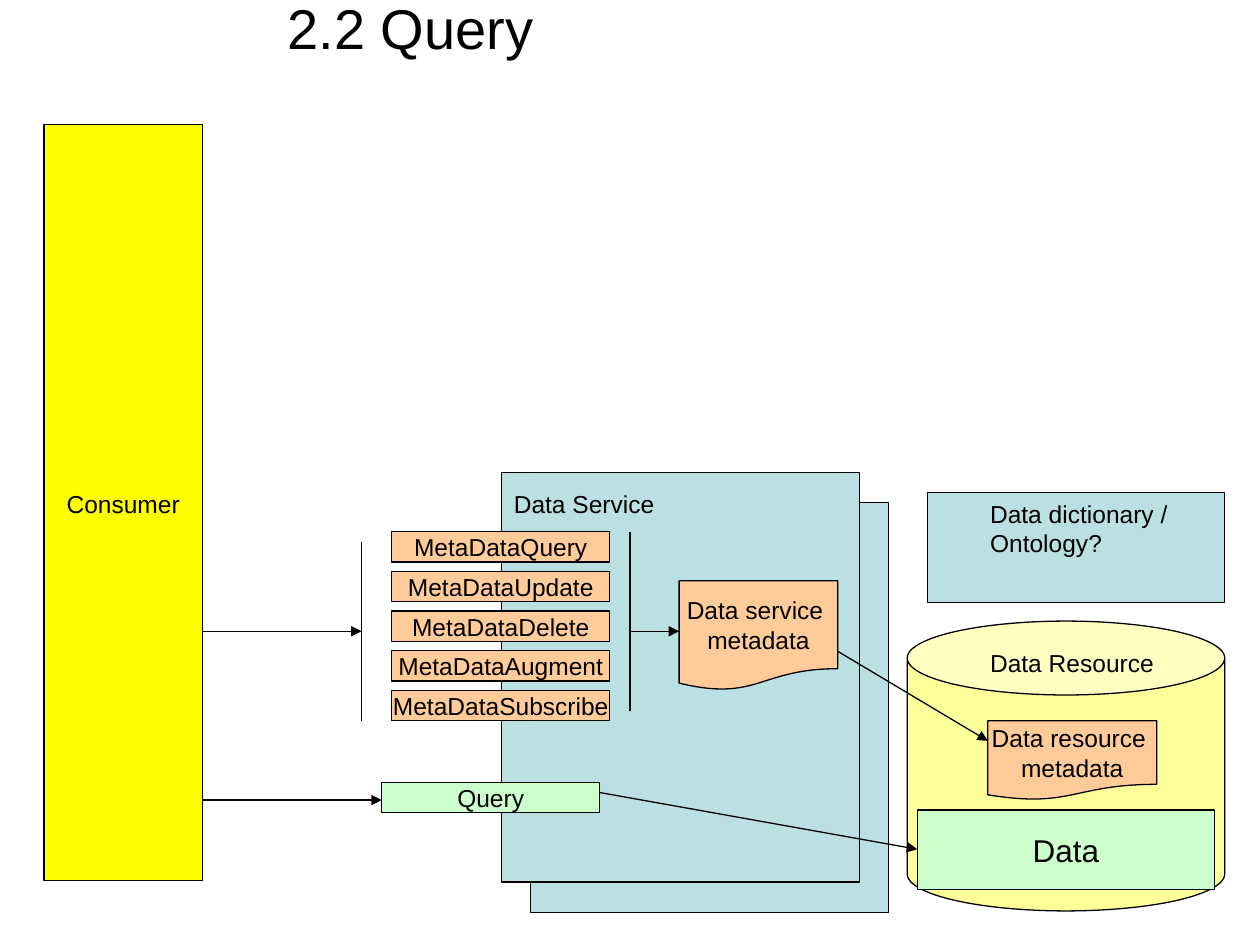
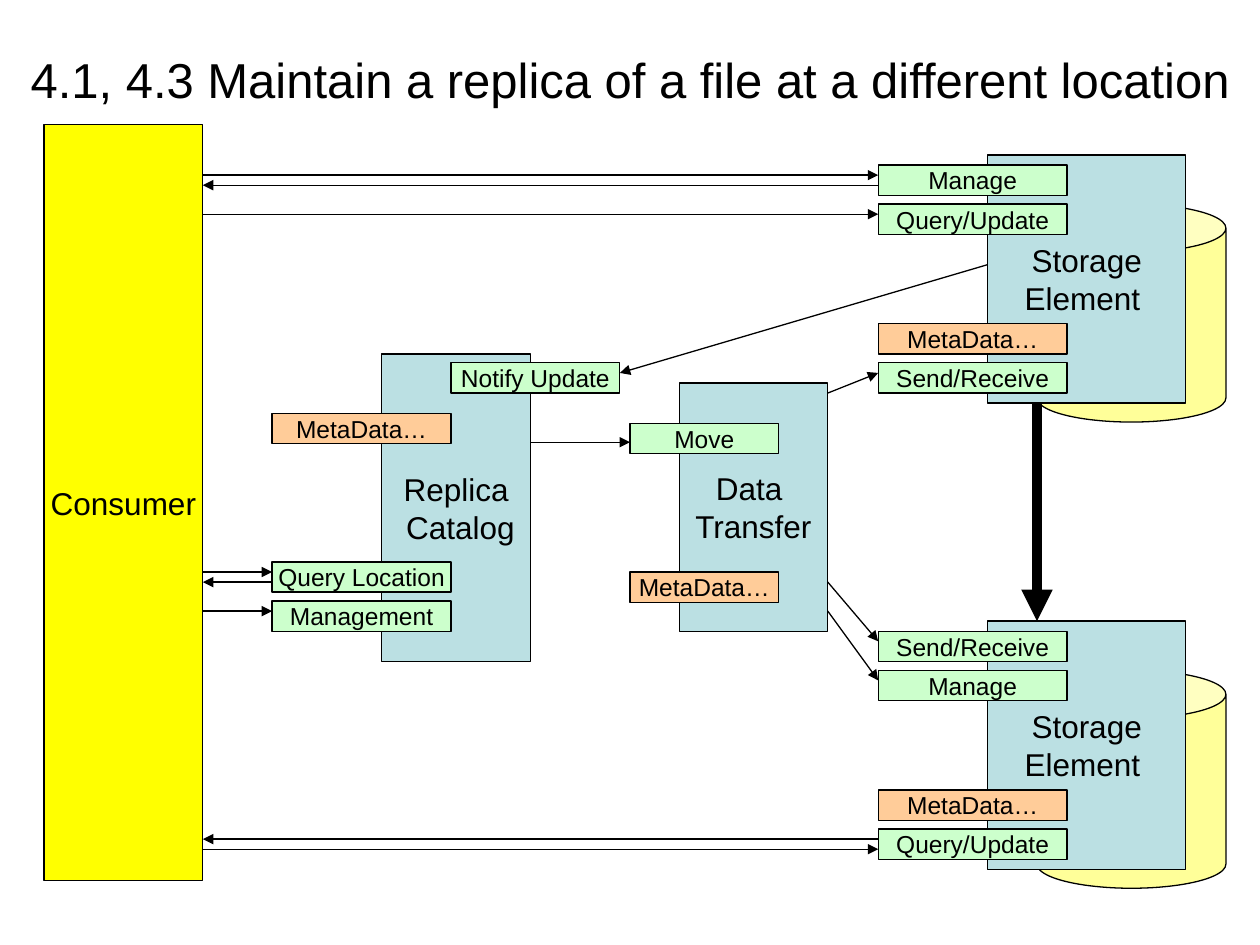
from dataclasses import dataclass
from typing import NamedTuple

from lxml import etree
from pptx import Presentation
from pptx.dml.color import RGBColor
from pptx.enum.shapes import MSO_CONNECTOR, MSO_SHAPE
from pptx.enum.text import MSO_ANCHOR, PP_ALIGN
from pptx.oxml.ns import qn
from pptx.util import Inches, Pt

RECT, CAN, DOCUMENT = MSO_SHAPE.RECTANGLE, MSO_SHAPE.CAN, MSO_SHAPE.FLOWCHART_DOCUMENT
STRAIGHT = MSO_CONNECTOR.STRAIGHT
LEFT, CENTER = PP_ALIGN.LEFT, PP_ALIGN.CENTER
TOP, MIDDLE = MSO_ANCHOR.TOP, MSO_ANCHOR.MIDDLE


@dataclass(frozen=True)
class Theme:
    font: str = "Arial"
    ink: str = "000000"
    service: str = "BBE0E3"
    metadata: str = "FFCC99"
    operation: str = "CCFFCC"
    storage: str = "FFFF99"
    consumer: str = "FFFF00"
    label: int = 14
    heading: int = 18
    long_title: int = 28
    title: int = 32
    hairline: float = 0.75
    bold_line: float = 6
    can_curve: float = 0.255


THEME = Theme()


class Box(NamedTuple):
    left: float
    top: float
    width: float
    height: float


class Port(NamedTuple):
    """A named operation or metadata interface on a service."""
    text: str
    left: float
    top: float
    width: float
    fill: str = THEME.operation


class Arrow(NamedTuple):
    x1: float
    y1: float
    x2: float
    y2: float
    head: bool = True
    width: float = THEME.hairline


PORT_HEIGHT = 0.24
METADATA = "MetaData…"
CONSUMER = Box(0.35, 0.99, 1.26, 6)
CONSUMER_EDGE = CONSUMER.left + CONSUMER.width
SE_PORT_LEFT, SE_PORT_WIDTH = 6.97, 1.5
SE_SLOTS = (0.08, 0.39, 1.34, 1.65)


def color(value: str) -> RGBColor:
    return RGBColor.from_string(value)


def inches(box: Box) -> list:
    return [Inches(v) for v in box]


def write(sp, text: str, size: int = THEME.label, align=CENTER, anchor=MIDDLE,
          wrap: bool = False) -> None:
    tf = sp.text_frame
    tf.word_wrap = wrap
    tf.vertical_anchor = anchor
    for i, line in enumerate(text.split("\n")):
        p = tf.paragraphs[0] if i == 0 else tf.add_paragraph()
        p.alignment = align
        r = p.add_run()
        r.text = line
        r.font.name = THEME.font
        r.font.size = Pt(size)
        r.font.color.rgb = color(THEME.ink)


def add_text(s, box: Box, text: str, **style) -> None:
    write(s.shapes.add_textbox(*inches(box)), text, **style)


def add_box(s, box: Box, fill: str, text: str = "", kind=RECT, **style) -> None:
    sp = s.shapes.add_shape(kind, *inches(box))
    sp.shadow.inherit = False
    sp.fill.solid()
    sp.fill.fore_color.rgb = color(fill)
    sp.line.color.rgb = color(THEME.ink)
    sp.line.width = Pt(THEME.hairline)
    if kind == CAN:
        sp.adjustments[0] = THEME.can_curve
    if text:
        write(sp, text, **style)


def add_port(s, port: Port) -> None:
    add_box(s, Box(port.left, port.top, port.width, PORT_HEIGHT), port.fill, port.text)


def add_arrow(s, arrow: Arrow) -> None:
    line = s.shapes.add_connector(STRAIGHT, *[Inches(v) for v in arrow[:4]])
    line.line.color.rgb = color(THEME.ink)
    line.line.width = Pt(arrow.width)
    sp_pr = line._element.spPr
    if arrow.head:
        etree.SubElement(sp_pr.find(qn("a:ln")), qn("a:tailEnd"), type="triangle")
    etree.SubElement(sp_pr, qn("a:effectLst"))


def add_storage_element(s, top: float, port_names: tuple[str, ...]) -> None:
    """Draw a store, its service box and one port in each slot."""
    add_box(s, Box(8.23, top + 0.39, 1.5, 1.73), THEME.storage, kind=CAN)
    add_box(s, Box(7.84, top, 1.57, 1.97), THEME.service, "Storage\nElement ",
            size=THEME.heading)
    for name, slot in zip(port_names, SE_SLOTS):
        fill = THEME.metadata if name == METADATA else THEME.operation
        add_port(s, Port(name, SE_PORT_LEFT, top + slot, SE_PORT_WIDTH, fill))


def build_query(s) -> None:
    add_text(s, Box(-1.24, -0.41, 9, 1.25), "2.2 Query", size=THEME.title, wrap=True)
    for left, top in ((4.21, 3.99), (3.98, 3.75)):
        add_box(s, Box(left, top, 2.84, 3.25), THEME.service)
    add_box(s, Box(7.2, 4.93, 2.52, 2.3), THEME.storage, kind=CAN)
    add_box(s, Box(7.36, 3.91, 2.36, 0.87), THEME.service)
    add_box(s, CONSUMER, THEME.consumer)

    for box, text in (
        (Box(3.98, 3.83, 1.5, 0.34), "Data Service"),
        (Box(7.76, 5.09, 1.7, 0.34), "Data Resource"),
        (Box(0.43, 3.83, 1.18, 0.34), "Consumer"),
        (Box(7.76, 3.91, 1.8, 0.57), "Data dictionary /\nOntology?"),
    ):
        add_text(s, box, text, align=LEFT, anchor=TOP, wrap=True)

    add_port(s, Port("Query", 3.03, 6.21, 1.73))
    for i, action in enumerate(("Query", "Update", "Delete", "Augment", "Subscribe")):
        add_port(s, Port(f"MetaData{action}", 3.11, 4.22 + 0.315 * i, 1.73,
                         THEME.metadata))
    add_box(s, Box(5.39, 4.61, 1.26, 0.87), THEME.metadata,
            "Data service \nmetadata", DOCUMENT)
    add_box(s, Box(7.84, 5.72, 1.34, 0.63), THEME.metadata,
            "Data resource \nmetadata", DOCUMENT)
    add_box(s, Box(7.28, 6.43, 2.36, 0.63), THEME.operation, "Data",
            size=THEME.heading)

    for arrow in (
        Arrow(CONSUMER_EDGE, 5.01, 2.87, 5.01),
        Arrow(CONSUMER_EDGE, 6.35, 3.03, 6.35),
        Arrow(2.87, 4.3, 2.87, 5.72, head=False),
        Arrow(5, 4.22, 5, 5.64, head=False),
        Arrow(5, 5.01, 5.39, 5.01),
        Arrow(6.65, 5.17, 7.84, 5.88),
        Arrow(4.76, 6.29, 7.28, 6.74),
    ):
        add_arrow(s, arrow)


def build_replica(s) -> None:
    add_text(s, Box(0, 0, 10, 1.25),
             "4.1, 4.3 Maintain a replica of a file at a different location",
             size=THEME.long_title, wrap=True)
    for box, fill, text in (
        (CONSUMER, THEME.consumer, "Consumer"),
        (Box(3.03, 2.81, 1.18, 2.44), THEME.service, "Replica\n Catalog"),
        (Box(5.39, 3.04, 1.18, 1.97), THEME.service, "Data \nTransfer"),
    ):
        add_box(s, box, fill, text, size=THEME.heading)
    add_storage_element(s, 1.23, ("Manage", "Query/Update", METADATA, "Send/Receive"))
    add_storage_element(s, 4.93, ("Send/Receive", "Manage", METADATA, "Query/Update"))

    for port in (
        Port("Notify Update", 3.58, 2.88, 1.34),
        Port(METADATA, 2.16, 3.28, 1.42, THEME.metadata),
        Port("Query Location", 2.16, 4.46, 1.42),
        Port("Management", 2.16, 4.77, 1.42),
        Port("Move", 5, 3.36, 1.18),
        Port(METADATA, 5, 4.54, 1.18, THEME.metadata),
    ):
        add_port(s, port)

    for port_edge, outgoing, incoming in (
        (SE_PORT_LEFT, (1.39, 1.7, 6.74), (1.47, 6.66)),
        (2.16, (4.54, 4.85), (4.62,)),
    ):
        for y in outgoing:
            add_arrow(s, Arrow(CONSUMER_EDGE, y, port_edge, y))
        for y in incoming:
            add_arrow(s, Arrow(port_edge, y, CONSUMER_EDGE, y))
    for y1, y2 in ((3.12, 2.96), (4.62, 5.09), (4.85, 5.4)):
        add_arrow(s, Arrow(6.57, y1, SE_PORT_LEFT, y2))
    add_arrow(s, Arrow(7.84, 2.1, 4.92, 2.96))
    add_arrow(s, Arrow(4.21, 3.51, 5, 3.51))
    add_arrow(s, Arrow(8.23, 3.2, 8.23, 4.93, width=THEME.bold_line))


def main() -> None:
    prs = Presentation()
    prs.slide_width, prs.slide_height = Inches(10), Inches(7.5)
    for build in (build_query, build_replica):
        build(prs.slides.add_slide(prs.slide_layouts[6]))
    prs.save("out.pptx")


if __name__ == "__main__":
    main()
